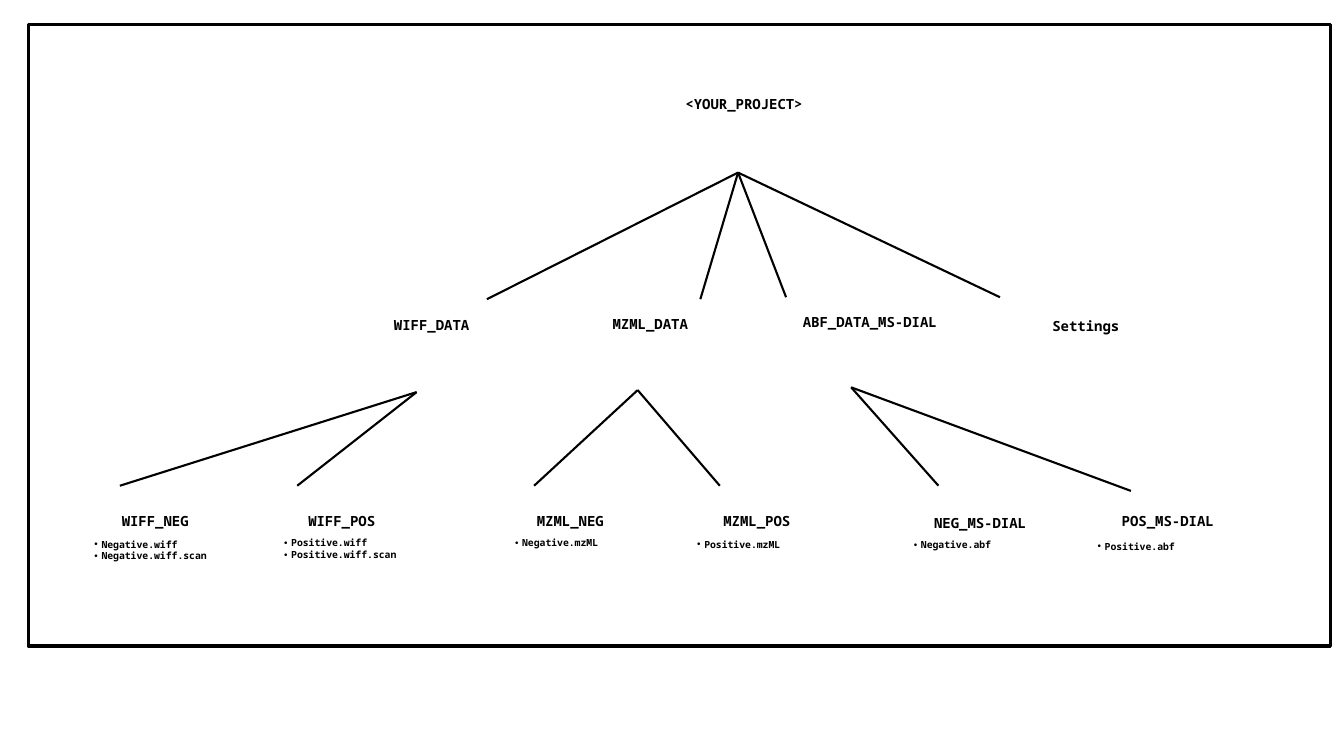
from lxml.etree import SubElement
from pptx import Presentation
from pptx.dml.color import RGBColor
from pptx.enum.shapes import MSO_CONNECTOR as Connector, MSO_SHAPE as Shape
from pptx.enum.text import MSO_ANCHOR as Anchor, MSO_AUTO_SIZE as AutoSize, PP_ALIGN as Align
from pptx.oxml.ns import qn
from pptx.util import Cm, Pt

INK = "000000"
FONT = "Noto Sans Mono"
LABEL_HEIGHT = 0.69
LIST_WIDTH = 4.75
LINE_HEIGHT = 0.28
BULLET_INDENT = Cm(0.18)

ROOT_FORK = (18.6, 4.35)

# folder: name, left, top, width, alignment, end of its branch
FOLDERS = [
    ("WIFF_DATA", 9.68, 7.85, 2.69, Align.LEFT, (12.27, 7.54)),
    ("MZML_DATA", 15.19, 7.82, 4.98, Align.LEFT, (17.65, 7.54)),
    ("ABF_DATA_MS-DIAL", 19.81, 7.77, 4.22, Align.CENTER, (19.81, 7.49)),
    ("Settings", 25.65, 7.87, 3.43, Align.CENTER, (25.2, 7.49)),
]

# fork below a folder, then its subfolders:
# name, left, top, width, end of its branch, corner of the file list, files
SUBFOLDERS = [
    ((10.5, 9.88), [
        ("WIFF_NEG", 2.82, 12.8, 2.69, (3.02, 12.24), (2.13, 13.44),
         ["Negative.wiff", "Negative.wiff.scan"]),
        ("WIFF_POS", 7.52, 12.78, 4.98, (7.49, 12.24), (6.91, 13.41),
         ["Positive.wiff", "Positive.wiff.scan"]),
    ]),
    ((16.07, 9.83), [
        ("MZML_NEG", 13.28, 12.8, 2.69, (13.46, 12.24), (12.73, 13.41), ["Negative.mzML"]),
        ("MZML_POS", 17.98, 12.8, 4.98, (18.14, 12.24), (17.32, 13.44), ["Positive.mzML"]),
    ]),
    ((21.45, 9.76), [
        ("NEG_MS-DIAL", 23.29, 12.83, 2.97, (23.65, 12.24), (22.78, 13.46), ["Negative.abf"]),
        ("POS_MS-DIAL", 28.02, 12.8, 4.98, (28.5, 12.37), (27.41, 13.49), ["Positive.abf"]),
    ]),
]


def color(value):
    return RGBColor.from_string(value)


def add_run(paragraph, text, size):
    run = paragraph.add_run()
    run.text = text
    run.font.name = FONT
    run.font.size = Pt(size)
    run.font.bold = True
    run.font.color.rgb = color(INK)


def prepare_frame(frame):
    """Wrap the text from the top, with the usual margins and a fixed size."""
    frame.word_wrap = True
    frame.auto_size = AutoSize.NONE
    frame.vertical_anchor = Anchor.TOP


def add_project_title(slide, text):
    title = slide.shapes.title
    title.left, title.top = Cm(17.02), Cm(2.29)
    title.width, title.height = Cm(4.98), Cm(LABEL_HEIGHT)
    prepare_frame(title.text_frame)
    heading = title.text_frame.paragraphs[0]
    heading.alignment = Align.LEFT
    add_run(heading, text, 10)


def add_label(slide, text, left, top, width, alignment=Align.LEFT):
    label = slide.shapes.add_textbox(Cm(left), Cm(top), Cm(width), Cm(LABEL_HEIGHT))
    prepare_frame(label.text_frame)
    paragraph = label.text_frame.paragraphs[0]
    paragraph.alignment = alignment
    add_run(paragraph, text, 10)


def add_bullet(paragraph):
    properties = paragraph._p.get_or_add_pPr()
    properties.set("marL", str(BULLET_INDENT))
    properties.set("indent", str(-BULLET_INDENT))
    SubElement(properties, qn("a:buFont"), typeface="Arial")
    SubElement(properties, qn("a:buChar"), char="•")


def add_file_list(slide, corner, files):
    left, top = corner
    height = 0.58 + LINE_HEIGHT * len(files)
    listing = slide.shapes.add_textbox(Cm(left), Cm(top), Cm(LIST_WIDTH), Cm(height))
    frame = listing.text_frame
    prepare_frame(frame)
    for index, file_name in enumerate(files):
        paragraph = frame.add_paragraph() if index else frame.paragraphs[0]
        add_bullet(paragraph)
        add_run(paragraph, file_name, 7)


def add_branch(slide, fork, end):
    points = [Cm(length) for length in (*fork, *end)]
    branch = slide.shapes.add_connector(Connector.STRAIGHT, *points)
    branch.line.color.rgb = color(INK)
    branch.line.width = Pt(1.5)
    SubElement(branch._element.spPr, qn("a:effectLst"))


def add_border(slide):
    border = slide.shapes.add_shape(Shape.RECTANGLE, Cm(0.71), Cm(0.61), Cm(32.82), Cm(15.67))
    border.shadow.inherit = False
    border.fill.background()
    border.line.color.rgb = color(INK)
    border.line.width = Pt(2.25)


def main():
    deck = Presentation()
    deck.slide_width, deck.slide_height = Cm(33.87), Cm(19.05)
    slide = deck.slides.add_slide(deck.slide_layouts[5])

    add_project_title(slide, "<YOUR_PROJECT>")
    for name, left, top, width, alignment, branch_end in FOLDERS:
        add_branch(slide, ROOT_FORK, branch_end)
        add_label(slide, name, left, top, width, alignment)
    for fork, children in SUBFOLDERS:
        for name, left, top, width, branch_end, list_corner, files in children:
            add_branch(slide, fork, branch_end)
            add_label(slide, name, left, top, width)
            add_file_list(slide, list_corner, files)
    add_border(slide)

    deck.save("out.pptx")


if __name__ == "__main__":
    main()
